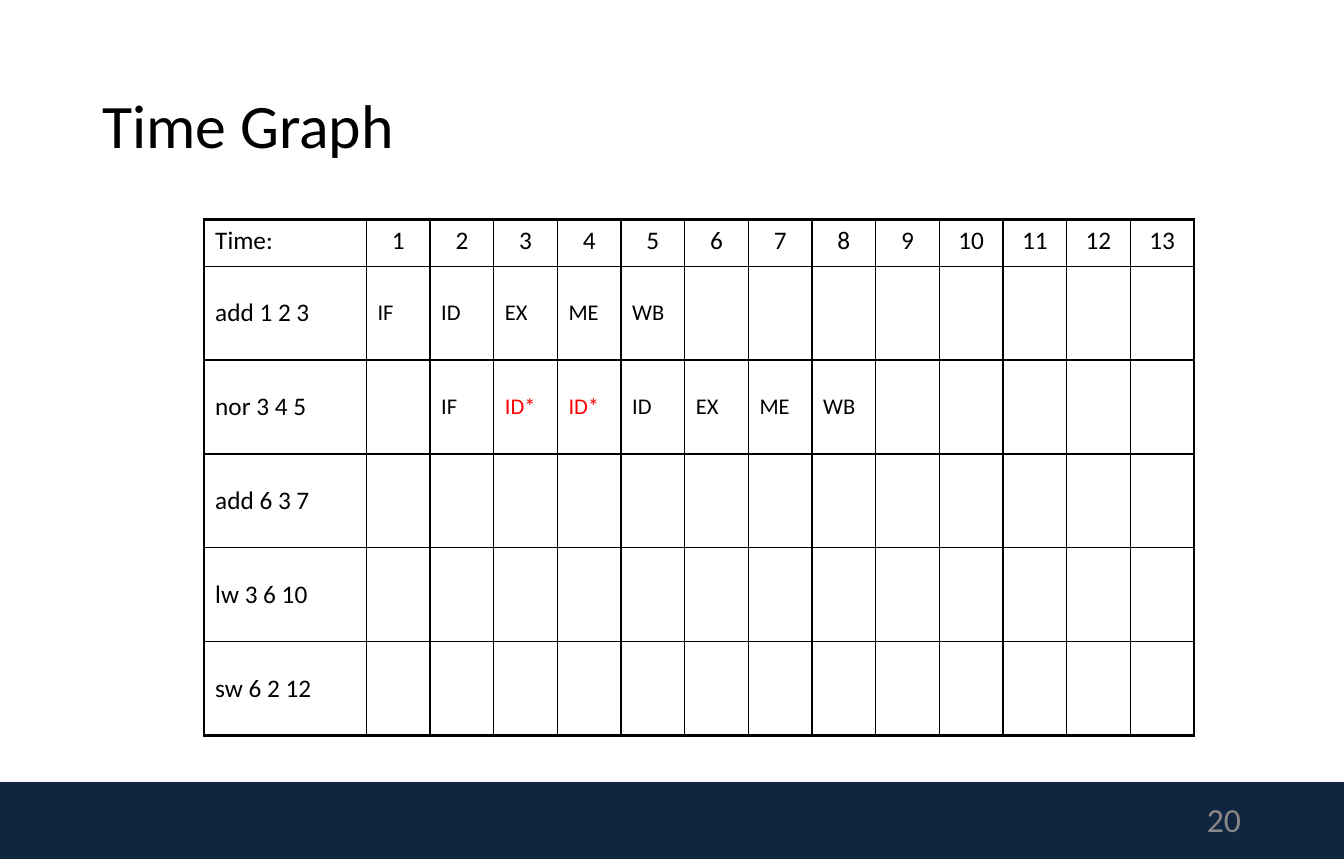
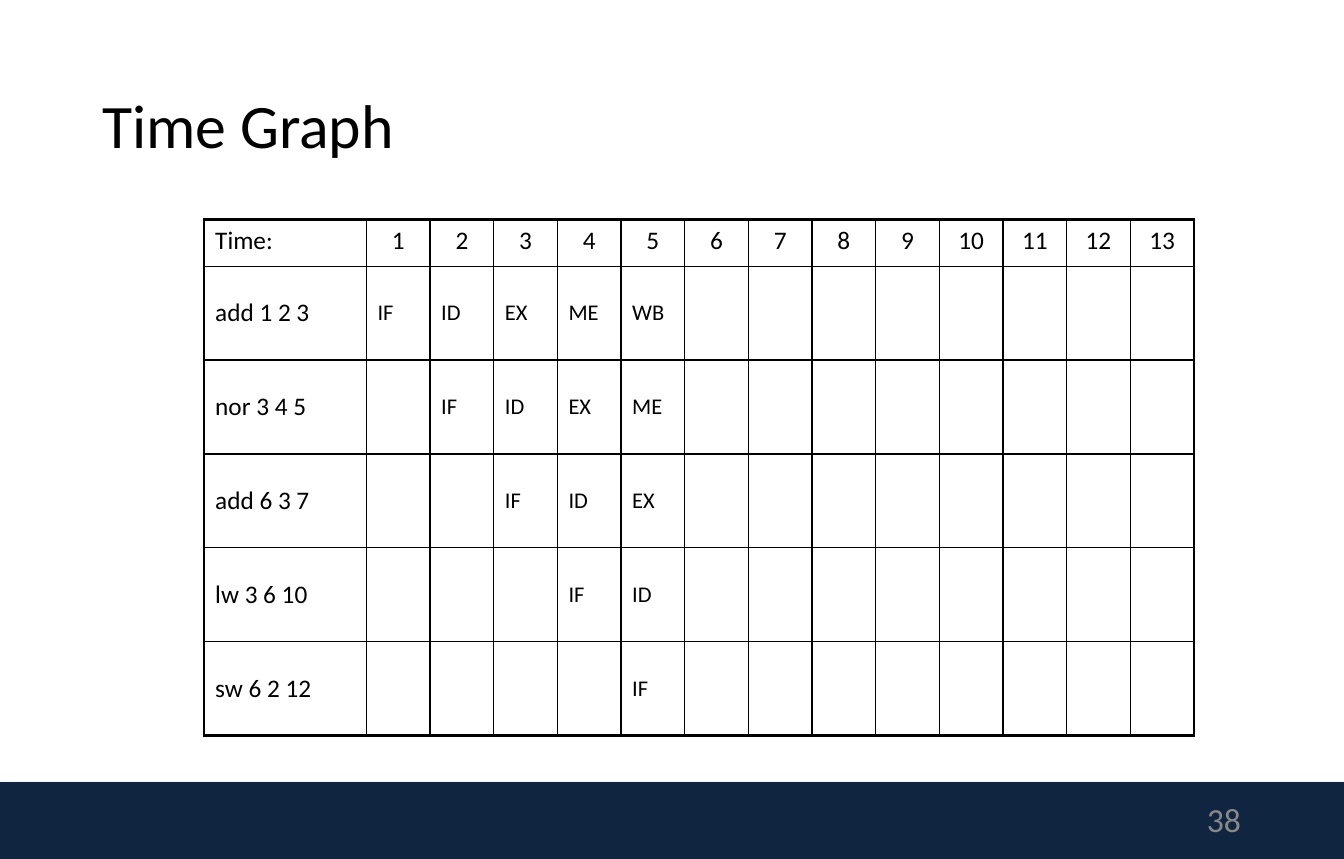
from lxml.etree import SubElement
from pptx import Presentation
from pptx.dml.color import RGBColor
from pptx.enum.shapes import MSO_SHAPE
from pptx.enum.text import MSO_ANCHOR, PP_ALIGN
from pptx.oxml.ns import qn
from pptx.util import Cm, Pt

COLORS = {"text": "000000", "stall": "FF0000", "band": "10253F",
          "page": "888888", "shadow": "808080"}
FONT = "Calibri"
THIN, THICK = Pt(1), Pt(2.25)

CYCLES = 13
INSTRUCTIONS = ["add 1 2 3", "nor 3 4 5", "add 6 3 7", "lw 3 6 10", "sw 6 2 12"]
# Each instruction is fetched one cycle after the one above it; * marks a stall.
PIPELINES = {
    20: ["IF ID EX ME WB", "IF ID* ID* ID EX ME WB", "", "", ""],
    38: ["IF ID EX ME WB", "IF ID EX ME", "IF ID EX", "IF ID", "IF"],
}


def style(paragraph, size, color, align=PP_ALIGN.LEFT):
    paragraph.alignment = align
    paragraph.font.name = FONT
    paragraph.font.size = Pt(size)
    paragraph.font.color.rgb = RGBColor.from_string(COLORS[color])


def add_border(cell, side, width):
    """Draw one side (L, R, T or B) of a cell."""
    line = SubElement(cell._tc.get_or_add_tcPr(), qn(f"a:ln{side}"), w=str(width))
    fill = SubElement(line, qn("a:solidFill"))
    SubElement(fill, qn("a:srgbClr"), val=COLORS["text"])


prs = Presentation()
prs.slide_width, prs.slide_height = Cm(33.78), Cm(21.59)
layout = prs.slide_layouts[5]
slides = [prs.slides.add_slide(layout) for _ in PIPELINES]

# Shared by both slides: the title's place and the band at the foot
title_area = layout.placeholders[0]
title_area.left, title_area.top = Cm(2.31), Cm(1.14)
title_area.width, title_area.height = Cm(29.13), Cm(4.17)

band = slides[0].shapes.add_shape(
    MSO_SHAPE.RECTANGLE, 0, Cm(19.66), prs.slide_width, Cm(1.93))
band.fill.solid()
band.fill.fore_color.rgb = RGBColor.from_string(COLORS["band"])
band.line.fill.background()
band.shadow.inherit = False
effects = band.element.spPr.find(qn("a:effectLst"))
shadow = SubElement(effects, qn("a:outerShdw"), blurRad=str(Pt(3.1)),
                    dist=str(Pt(1.8)), dir="5400000", rotWithShape="0")
shadow_color = SubElement(shadow, qn("a:srgbClr"), val=COLORS["shadow"])
SubElement(shadow_color, qn("a:alpha"), val="35000")
layout.shapes.element.insert(2, band.element)

for slide, (page, pipelines) in zip(slides, PIPELINES.items()):
    title = slide.shapes.title.text_frame
    title.text = "Time Graph"
    title.vertical_anchor = MSO_ANCHOR.MIDDLE
    title.paragraphs[0].line_spacing = 0.9
    style(title.paragraphs[0], 44, "text")

    page_number = slide.shapes.add_textbox(
        Cm(23.85), Cm(20.02), Cm(7.59), Cm(1.14)).text_frame
    page_number.word_wrap = True
    page_number.vertical_anchor = MSO_ANCHOR.MIDDLE
    page_number.text = str(page)
    style(page_number.paragraphs[0], 24, "page", PP_ALIGN.RIGHT)

    rows = [["Time:", *map(str, range(1, CYCLES + 1))]]
    for start, (instruction, pipeline) in enumerate(zip(INSTRUCTIONS, pipelines)):
        stages = [""] * start + pipeline.split()
        rows.append([instruction, *stages, *[""] * (CYCLES - len(stages))])

    last_row, last_col = len(rows) - 1, CYCLES
    time_graph = slide.shapes.add_table(
        len(rows), CYCLES + 1, Cm(5.13), Cm(5.51), Cm(24.88), Cm(12.98)).table
    time_graph.first_row = time_graph.horz_banding = False
    for c, column in enumerate(time_graph.columns):
        column.width = Cm(1.6) if c else Cm(4.08)
    for r, row in enumerate(time_graph.rows):
        row.height = Cm(2.36) if r else Cm(1.18)

    for r, texts in enumerate(rows):
        for c, text in enumerate(texts):
            cell = time_graph.cell(r, c)
            cell.text = text
            cell.margin_left = cell.margin_right = Cm(0.28)
            cell.margin_top = cell.margin_bottom = Cm(0.15)
            cell.vertical_anchor = MSO_ANCHOR.MIDDLE if r else MSO_ANCHOR.TOP
            style(cell.text_frame.paragraphs[0],
                  16 if r and c else 18,
                  "stall" if text.endswith("*") else "text",
                  PP_ALIGN.CENTER if c and not r else PP_ALIGN.LEFT)
            outer = {"L": c == 0, "R": c == last_col, "T": r == 0, "B": r == last_row}
            for side, is_outer in outer.items():
                add_border(cell, side, THICK if is_outer else THIN)
            cell.fill.background()

prs.save("out.pptx")
